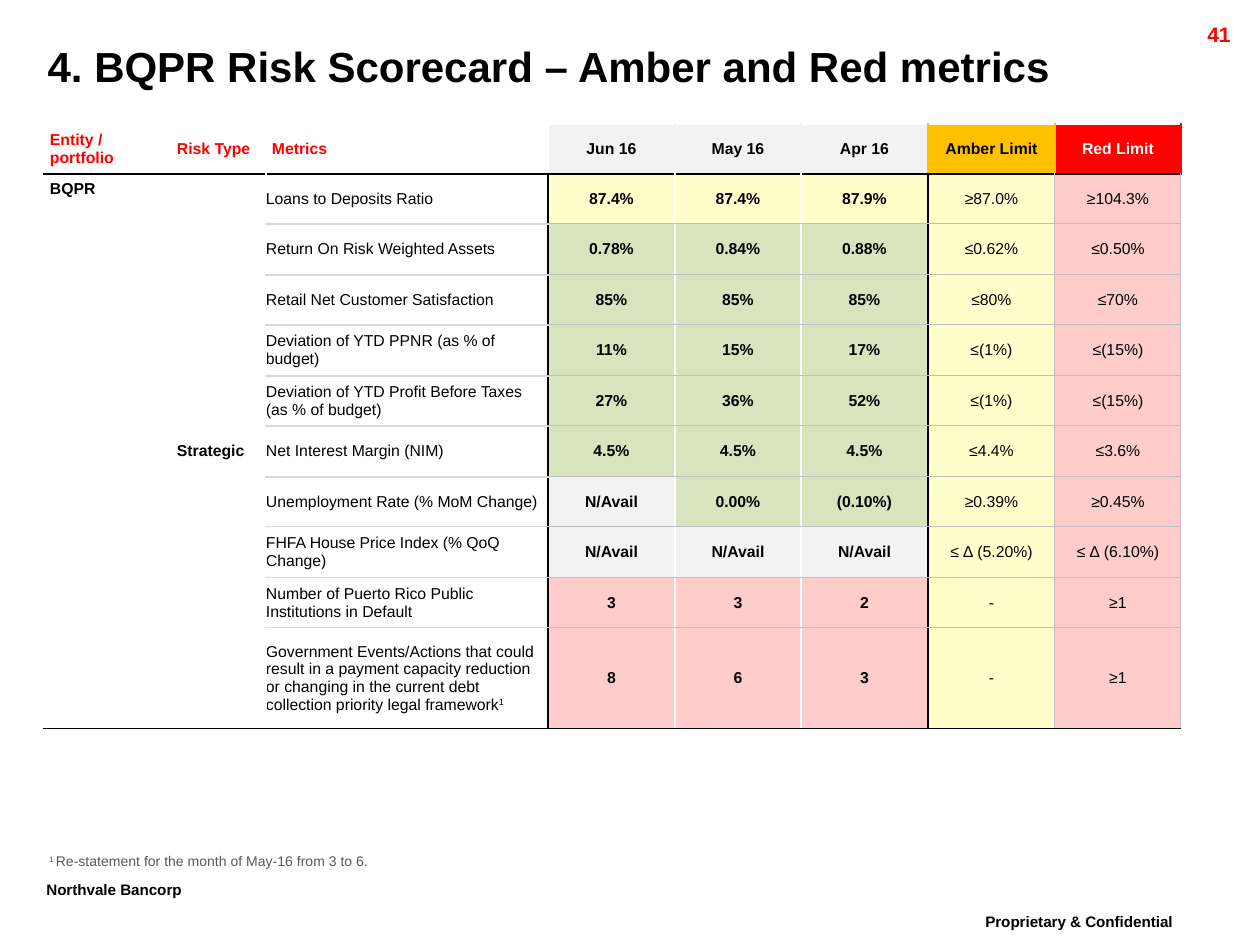
"""Builds the risk scorecard slide with its amber and red metrics table."""
from lxml.etree import SubElement
from pptx import Presentation
from pptx.dml.color import RGBColor
from pptx.enum.text import MSO_ANCHOR as ANCHOR, PP_ALIGN as ALIGN
from pptx.oxml.ns import qn
from pptx.util import Emu, Pt

COLORS = {
    "black": "000000", "white": "FFFFFF", "red": "FF0000", "amber": "FFC000",
    "gray": "F2F2F2", "rule": "D9D9D9", "grid": "BFBFBF", "note": "595959",
    "pale_yellow": "FFFFCC", "pale_green": "D7E4BD", "pale_red": "FFCCCC",
}
STATUS = {"y": "pale_yellow", "g": "pale_green", "n": "gray", "r": "pale_red"}
NO_STYLE = "{2D5ABB26-0587-4C30-8999-92F81FD0307C}"

TITLE = "4. BQPR Risk Scorecard – Amber and Red metrics"
HEADERS = [
    ("Entity / portfolio", "red", None), ("Risk Type", "red", None),
    ("Metrics", "red", None), ("Jun 16", "black", "gray"),
    ("May 16", "black", "gray"), ("Apr 16", "black", "gray"),
    ("Amber Limit", "black", "amber"), ("Red Limit", "white", "red"),
]
ENTITY, RISK_TYPE = "BQPR", "Strategic"
METRICS = [
    ("Loans to Deposits Ratio", "yyy", "87.4%", "87.4%", "87.9%", "≥87.0%", "≥104.3%"),
    ("Return On Risk Weighted Assets", "ggg", "0.78%", "0.84%", "0.88%", "≤0.62%", "≤0.50%"),
    ("Retail Net Customer Satisfaction", "ggg", "85%", "85%", "85%", "≤80%", "≤70%"),
    ("Deviation of YTD PPNR (as % of budget)", "ggg", "11%", "15%", "17%", "≤(1%)", "≤(15%)"),
    ("Deviation of YTD Profit Before Taxes (as % of budget)", "ggg",
     "27%", "36%", "52%", "≤(1%)", "≤(15%)"),
    ("Net Interest Margin (NIM)", "ggg", "4.5%", "4.5%", "4.5%", "≤4.4%", "≤3.6%"),
    ("Unemployment Rate (% MoM Change)", "ngg", "N/Avail", "0.00%", "(0.10%)", "≥0.39%", "≥0.45%"),
    ("FHFA House Price Index (% QoQ Change)", "nnn",
     "N/Avail", "N/Avail", "N/Avail", "≤ ∆ (5.20%)", "≤ ∆ (6.10%)"),
    ("Number of Puerto Rico Public Institutions in Default", "rrr", "3", "3", "2", "-", "≥1"),
    ("Government Events/Actions that could result in a payment capacity reduction or "
     "changing in the current debt collection priority legal framework", "rrr",
     "8", "6", "3", "-", "≥1"),
]
MARK = "1"
NOTE = "Re-statement for the month of May-16 from 3 to 6."

COL_W = [127, 95, 282, 127, 126, 127, 127, 126]
ROW_H = [47, 50] + [50, 51] * 4 + [50, 101]
LAST = len(ROW_H) - 1
HEADER_EDGES = ["white"] * 4 + ["gray"] * 2 + ["amber"] * 2 + ["red"]
BODY_EDGES = [("white", 1), ("white", 1), ("white", 0.75), ("black", 1), ("white", 0.75),
              ("white", 0.75), ("black", 1), ("grid", 0.75), ("grid", 0.75)]


def px(n):
    return Emu(round(n * 914400 / 126))


def rgb(name):
    return RGBColor.from_string(COLORS[name])


def style(p, size, color="black", bold=False, align=ALIGN.LEFT):
    p.alignment = align
    p.font.name, p.font.size, p.font.bold = "Arial", Pt(size), bold
    p.font.color.rgb = rgb(color)


def add_superscript(p, text):
    r = p.add_run()
    r.text = text
    r._r.get_or_add_rPr().set("baseline", "30000")


def set_margins(obj, n):
    obj.margin_left = obj.margin_right = obj.margin_top = obj.margin_bottom = px(n)


def add_box(s, box, wrap=True):
    tf = s.shapes.add_textbox(*map(px, box)).text_frame
    tf.word_wrap = wrap
    return tf


def row_edge(r, c):
    """Gives the colour and width of the line under row r in column c."""
    if r < 0:
        return None, 0
    if r == 0:
        return "white", 1
    if r in (1, LAST):
        return "black", 1
    if c < 2:
        return "white", 1
    return ("rule", 1) if c == 2 else ("grid", 0.75)


def col_edge(r, c):
    """Gives the colour and width of the line left of column c in row r."""
    if r == 0:
        return None, 0
    return (HEADER_EDGES[c], 1) if r == 1 else BODY_EDGES[c]


def set_borders(cell, r, c):
    bottom = r + cell.span_height - 1
    right = c + cell.span_width
    edges = {"a:lnL": col_edge(r, c), "a:lnR": col_edge(r, right),
             "a:lnT": row_edge(r - 1, c), "a:lnB": row_edge(bottom, c)}
    tc_pr = cell._tc.get_or_add_tcPr()
    for tag, (color, width) in edges.items():
        ln = SubElement(tc_pr, qn(tag), w=str(Pt(width)))
        if color:
            SubElement(SubElement(ln, qn("a:solidFill")), qn("a:srgbClr"), val=COLORS[color])
        else:
            SubElement(ln, qn("a:noFill"))


def fill_cell(cell, text="", color="black", fill=None, bold=False, align=ALIGN.LEFT,
              margin=0, anchor=ANCHOR.MIDDLE):
    set_margins(cell, margin)
    cell.vertical_anchor = anchor
    p = cell.text_frame.paragraphs[0]
    style(p, 9, color, bold, align)
    if text:
        p.add_run().text = text
    if fill:
        cell.fill.solid()
        cell.fill.fore_color.rgb = rgb(fill)
    else:
        cell.fill.background()


def add_scorecard(s):
    frame = s.shapes.add_table(len(ROW_H), len(COL_W), px(44), px(77),
                               px(sum(COL_W)), px(sum(ROW_H)))
    table = frame.table
    table.first_row = table.horz_banding = False
    table._tbl.tblPr.find(qn("a:tableStyleId")).text = NO_STYLE
    for col, w in zip(table.columns, COL_W):
        col.width = px(w)
    for row, h in zip(table.rows, ROW_H):
        row.height = px(h)
    table.cell(0, 0).merge(table.cell(0, len(COL_W) - 1))
    table.cell(2, 1).merge(table.cell(LAST, 1))
    for r in range(len(ROW_H)):
        for c in range(len(COL_W)):
            if not table.cell(r, c).is_spanned:
                set_borders(table.cell(r, c), r, c)

    fill_cell(table.cell(0, 0))
    for c, (text, color, fill) in enumerate(HEADERS):
        fill_cell(table.cell(1, c), text, color, fill, True,
                  ALIGN.CENTER if fill else ALIGN.LEFT, 6)
    fill_cell(table.cell(2, 0), ENTITY, bold=True, margin=6, anchor=ANCHOR.TOP)
    fill_cell(table.cell(2, 1), RISK_TYPE, bold=True, margin=6)
    for r, (metric, status, *values) in enumerate(METRICS, 2):
        if r > 2:
            fill_cell(table.cell(r, 0))
        fill_cell(table.cell(r, 2), metric)
        fills = [STATUS[k] for k in status] + ["pale_yellow", "pale_red"]
        for c, (value, fill) in enumerate(zip(values, fills), 3):
            fill_cell(table.cell(r, c), value, fill=fill, bold=c < 6, align=ALIGN.CENTER)
    add_superscript(table.cell(LAST, 2).text_frame.paragraphs[0], MARK)


def main():
    prs = Presentation()
    prs.slide_width, prs.slide_height = px(1260), px(945)
    s = prs.slides.add_slide(prs.slide_layouts[5])

    title = s.shapes.title
    title.left, title.top, title.width, title.height = map(px, (35, 34, 1225, 63))
    title.text_frame.text = TITLE
    title.text_frame.vertical_anchor = ANCHOR.TOP
    style(title.text_frame.paragraphs[0], 24, bold=True)

    add_scorecard(s)

    tf = add_box(s, (49, 853, 1168, 16))
    set_margins(tf, 0)
    tf.vertical_anchor = ANCHOR.BOTTOM
    p = tf.paragraphs[0]
    style(p, 8, "note")
    add_superscript(p, MARK + " ")
    p.add_run().text = NOTE

    for text, box, wrap in [("Northvale Bancorp", (34, 871, 188, 44), False),
                            ("Proprietary & Confidential", (973, 903, 275, 44), True)]:
        p = add_box(s, box, wrap).paragraphs[0]
        style(p, 15, bold=True)
        add_superscript(p, text)

    p = add_box(s, (1123, 15, 120, 30)).paragraphs[0]
    p.add_run().text = "41"
    style(p, 12, "red", True, ALIGN.RIGHT)

    prs.save("out.pptx")


if __name__ == "__main__":
    main()
